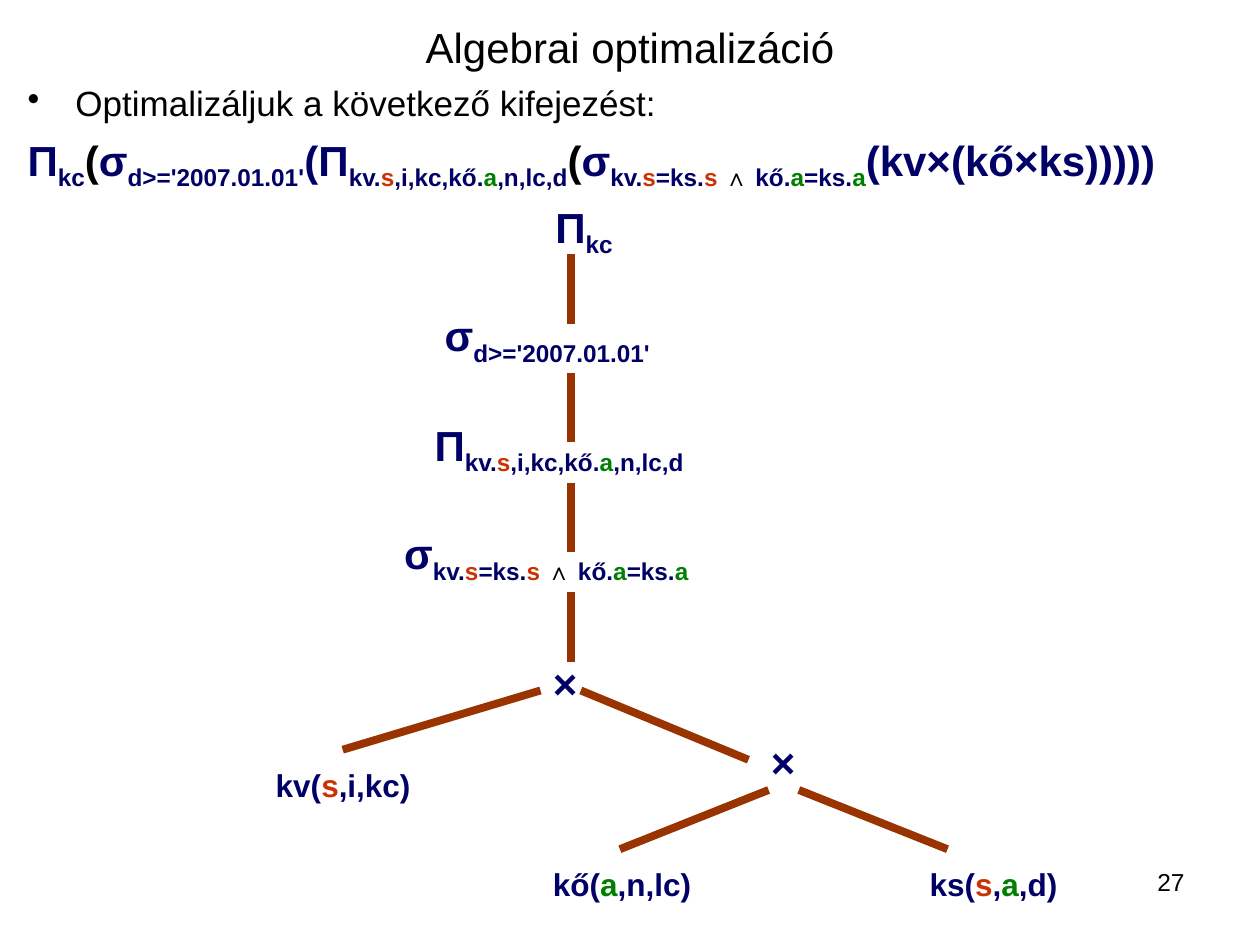
from pptx import Presentation
from pptx.dml.color import RGBColor
from pptx.enum.shapes import MSO_CONNECTOR as Conn
from pptx.enum.text import MSO_ANCHOR as Anchor, PP_ALIGN as Align
from pptx.oxml.ns import qn
from pptx.util import Inches, Pt
from lxml.etree import SubElement

NAVY, BLACK, BROWN = "000066", "000000", "993300"
TINTS = {"s": "CC3300", "a": "008000", "∧": BLACK}


def rgb(code):
    return RGBColor.from_string(code)


def mark(text, base=0, color=NAVY):
    """Split text at bars into (text, colour, baseline) runs; join keys get a tint."""
    return [(part, TINTS.get(part.strip(), color), base) for part in text.split("|")]


def term(sign, index):
    """Operator sign with its subscript."""
    return mark(sign) + mark(index, -25)


def write(para, runs, size=24, bold=True, before=0, align=Align.LEFT,
          hang=0, bullet=None):
    para.alignment = align
    para.space_before = Pt(before)
    props = para._p.get_or_add_pPr()
    if hang:
        props.set("marL", str(Inches(hang)))
        props.set("indent", str(-Inches(hang)))
    if bullet:
        SubElement(props, qn("a:buChar")).set("char", bullet)
    for text, color, base in runs:
        run = para.add_run()
        run.text = text
        font = run.font
        font.name, font.size, font.bold = "Arial", Pt(size), bold
        font.color.rgb = rgb(color)
        if base:
            run._r.get_or_add_rPr().set("baseline", str(base * 1000))


class Board:
    """Holds the line style and the current slide."""

    def __init__(self, slide, color=BROWN, width=4.5):
        self.slide, self.color, self.width = slide, color, width

    def box(self, x, y, w, h, wrap=True, anchor=Anchor.TOP):
        """Add an empty text box and return its frame."""
        shape = self.slide.shapes.add_textbox(*map(Inches, (x, y, w, h)))
        frame = shape.text_frame
        frame.word_wrap, frame.vertical_anchor = wrap, anchor
        return frame

    def label(self, runs, x, y, w, h, wrap=True, **form):
        write(self.box(x, y, w, h, wrap).paragraphs[0], runs, **form)

    def edge(self, x1, y1, x2, y2):
        ends = map(Inches, (x1, y1, x2, y2))
        line = self.slide.shapes.add_connector(Conn.STRAIGHT, *ends)
        line.line.color.rgb = rgb(self.color)
        line.line.width = Pt(self.width)
        SubElement(line._element.spPr, qn("a:effectLst"))


def main():
    deck = Presentation()
    deck.slide_width, deck.slide_height = Inches(10), Inches(7.5)
    board = Board(deck.slides.add_slide(deck.slide_layouts[6]))

    title = board.box(0.5, 0.3, 9, 0.14, anchor=Anchor.MIDDLE)
    write(title.paragraphs[0], mark("Algebrai optimalizáció", color=BLACK),
          bold=False, align=Align.CENTER)

    proj = term("Π", "kc")
    date = term("σ", "d>='2007.01.01'")
    cols = term("Π", "kv.|s|,i,kc,kő.|a|,n,lc,d")
    join = term("σ", "kv.|s|=ks.|s |∧| kő.|a|=ks.|a")
    dark = mark("(", color=BLACK)

    body = board.box(0.12, 0.6, 9.88, 6.53)
    write(body.paragraphs[0],
          mark("Optimalizáljuk a következő kifejezést:", color=BLACK),
          size=20, bold=False, before=5, hang=0.38, bullet="•")
    write(body.add_paragraph(),
          proj + dark + date + mark("(") + cols + dark + join
          + mark("(kv×(kő×ks)))))"),
          before=6, hang=0.38)

    board.label(proj, 4.31, 1.55, 0.67, 0.56, wrap=False)
    for runs, x, y, w, h in [
        (date, 3.43, 2.41, 2.21, 0.56),
        (cols, 3.35, 3.28, 2.52, 0.56),
        (join, 3.11, 4.14, 3.07, 0.56),
        (mark("×"), 4.29, 5.17, 0.95, 0.5),
        (mark("×"), 6.02, 5.8, 1.02, 0.5),
    ]:
        board.label(runs, x, y, w, h, before=15)

    for text, x, y, w in [
        ("kv(|s|,i,kc)", 2.09, 6.03, 1.5),
        ("kő(|a|,n,lc)", 4.29, 6.82, 1.34),
        ("ks(|s|,|a|,d)", 7.28, 6.82, 1.34),
    ]:
        board.label(mark(text), x, y, w, 0.4, size=18, before=11.2)

    for top in (2.02, 2.96, 3.83, 4.7):
        board.edge(4.53, top, 4.53, top + 0.55)
    for ends in [
        (2.72, 5.95, 4.29, 5.48),
        (4.61, 5.48, 5.94, 6.03),
        (6.1, 6.27, 4.92, 6.74),
        (6.34, 6.27, 7.52, 6.74),
    ]:
        board.edge(*ends)

    board.label(mark("27", color=BLACK), 7.17, 6.83, 2.33, 0.52,
                size=14, bold=False, align=Align.RIGHT)
    deck.save("out.pptx")


if __name__ == "__main__":
    main()
